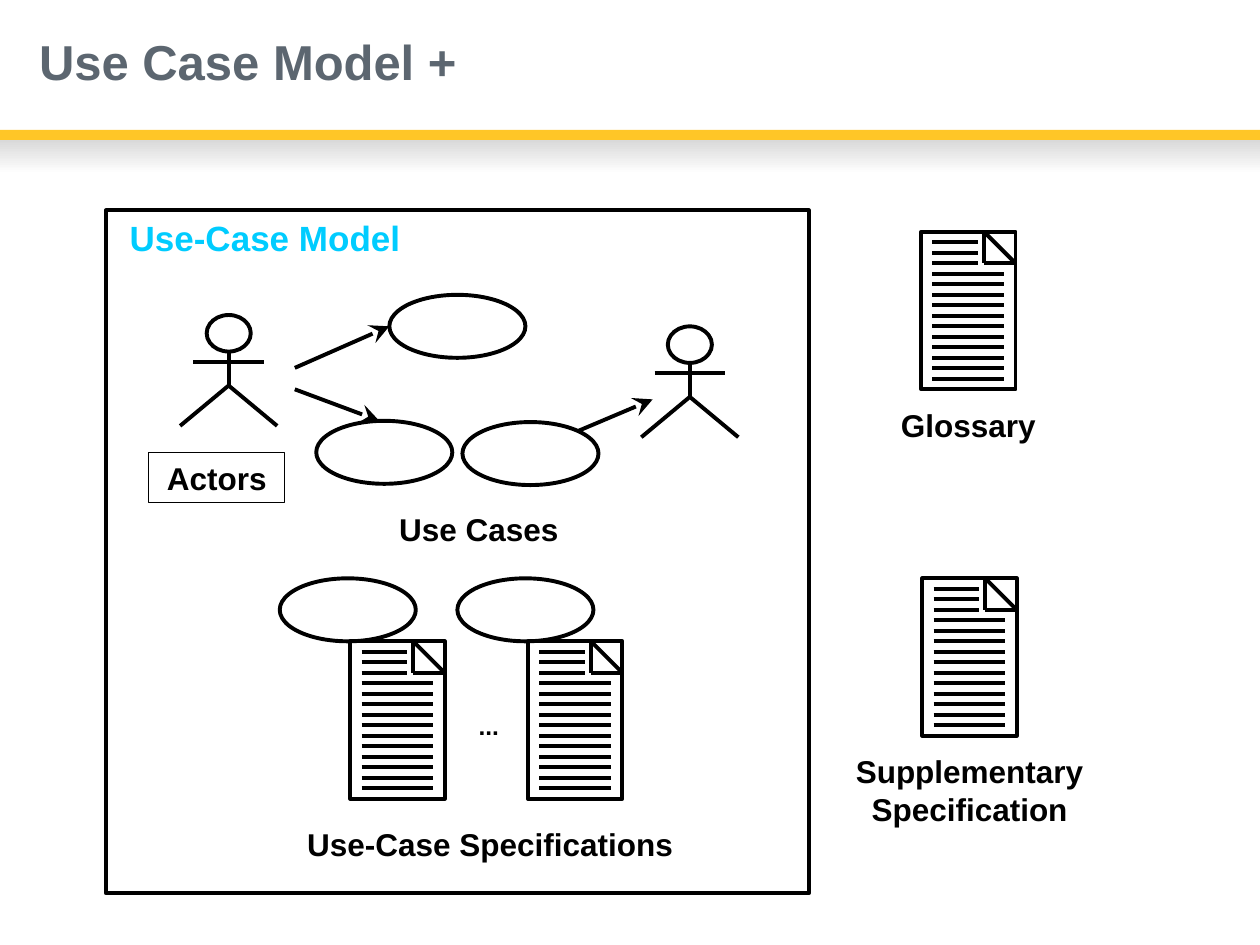
from dataclasses import dataclass

from lxml.etree import SubElement
from pptx import Presentation
from pptx.dml.color import RGBColor
from pptx.enum.shapes import MSO_CONNECTOR as Connector, MSO_SHAPE as Shape
from pptx.enum.text import MSO_ANCHOR as Anchor, PP_ALIGN as Align
from pptx.oxml.ns import qn
from pptx.util import Inches, Pt


@dataclass(frozen=True)
class Theme:
    """Colours, type sizes and line widths of the slide."""
    font: str = "Arial"
    ink: RGBColor = RGBColor(0, 0, 0)
    slate: RGBColor = RGBColor(0x5C, 0x66, 0x70)
    gold: RGBColor = RGBColor(0xFF, 0xC6, 0x27)
    cyan: RGBColor = RGBColor(0, 0xCC, 0xFF)
    shade: RGBColor = RGBColor(0xD9, 0xD9, 0xD9)
    paper: RGBColor = RGBColor(0xFF, 0xFF, 0xFF)
    title: int = 28
    heading: int = 20
    label: int = 18
    dots: int = 14
    stroke: float = 2.25
    hairline: float = 0.75


THEME = Theme()


def box_lengths(box):
    """Turn a box in inches into lengths."""
    return [Inches(value) for value in box]


def style_text(frame, lines, size, color, align=Align.CENTER):
    """Write one bold paragraph for each line."""
    frame.word_wrap = True
    frame.text = "\n".join(lines)
    for paragraph in frame.paragraphs:
        paragraph.alignment = align
        paragraph.font.name = THEME.font
        paragraph.font.size = Pt(size)
        paragraph.font.bold = True
        paragraph.font.color.rgb = color


def add_label(shapes, box, *lines, size=THEME.label, color=THEME.ink, align=Align.CENTER):
    """Add a text label in the box."""
    label = shapes.add_textbox(*box_lengths(box))
    style_text(label.text_frame, lines, size, color, align)


def outline(shape, width=THEME.stroke):
    """Give a shape a plain black outline."""
    shape.shadow.inherit = False
    shape.fill.background()
    shape.line.color.rgb = THEME.ink
    shape.line.width = Pt(width)
    return shape


def add_outline(shapes, kind, box, width=THEME.stroke):
    """Add an unfilled preset shape in the box."""
    return outline(shapes.add_shape(kind, *box_lengths(box)), width)


def add_line(shapes, start, end, arrow=False):
    """Draw a line, with a stealth head at its end if asked."""
    line = shapes.add_connector(Connector.STRAIGHT, *box_lengths(start + end))
    line.line.color.rgb = THEME.ink
    line.line.width = Pt(THEME.stroke)
    properties = line._element.spPr
    if arrow:
        SubElement(line.line._get_or_add_ln(), qn("a:tailEnd"), type="stealth", w="lg", len="lg")
    SubElement(properties, qn("a:effectLst"))


def add_document(shapes, box):
    """Draw a ruled page with a folded corner."""
    left, top, width, height = box
    right, fold, margin = left + width, width / 3, 0.09
    add_outline(shapes, Shape.RECTANGLE, box)
    inner, crease = right - fold, top + fold
    add_line(shapes, (inner, top), (right, crease))
    add_line(shapes, (inner, top), (inner, crease))
    add_line(shapes, (right, crease), (inner, crease))
    rows = 15
    for row in range(1, rows):
        y = top + row * height / rows
        end = inner - 0.05 if row <= 3 else right - margin
        add_line(shapes, (left + margin, y), (end, y))


def add_specification(shapes, box):
    """Draw a use case with its specification page below."""
    left, top, width, height = box
    add_outline(shapes, Shape.OVAL, (left, top, 1.08, 0.5))
    add_document(shapes, (left + width - 0.75, top + 0.5, 0.75, height - 0.5))


def add_actor(shapes, box):
    """Draw a stick figure."""
    left, top, width, height = box
    center, right, feet = left + width / 2, left + width, top + height
    neck, hip = top + 0.29, top + 0.56
    add_outline(shapes, Shape.OVAL, (center - 0.175, top, 0.35, 0.29))
    add_line(shapes, (center, neck), (center, hip))
    add_line(shapes, (center - 0.28, top + 0.37), (center + 0.28, top + 0.37))
    legs = shapes.build_freeform(Inches(left), Inches(feet))
    legs.add_line_segments([(Inches(center), Inches(hip)), (Inches(right), Inches(feet))], close=False)
    outline(legs.convert_to_shape())


def add_header(slide, box):
    """Place the title, the gold bar and the fading shade below it."""
    left, top, width, height = box
    shade = slide.shapes.add_shape(Shape.RECTANGLE, *box_lengths((left, top + height, width, 0.27)))
    shade.fill.gradient()
    shade.fill.gradient_angle = 270
    for stop, color in zip(shade.fill.gradient_stops, (THEME.shade, THEME.paper)):
        stop.color.rgb = color
    bar = slide.shapes.add_shape(Shape.RECTANGLE, *box_lengths((left, top + height - 0.08, width, 0.08)))
    bar.fill.solid()
    bar.fill.fore_color.rgb = THEME.gold
    for band in (shade, bar):
        band.shadow.inherit = False
        band.line.fill.background()
    title = slide.shapes.title
    title.left, title.top, title.width, title.height = box_lengths((left + 0.21, top, 9.52, 1.02))
    style_text(title.text_frame, ["Use Case Model +"], THEME.title, THEME.slate, Align.LEFT)
    title.text_frame.vertical_anchor = Anchor.MIDDLE
    title.text_frame.paragraphs[0].line_spacing = 0.9


def add_model(shapes, box):
    """Draw the use-case model frame with actors, use cases and specifications."""
    left, top, _, _ = box

    def at(x, y, *size):
        return (left + x, top + y, *size)

    add_outline(shapes, Shape.RECTANGLE, box)
    add_label(shapes, at(0.09, 0, 2.42, 0.44), "Use-Case Model",
              size=THEME.heading, color=THEME.cyan, align=Align.LEFT)
    for x, y in ((0.59, 0.83), (4.25, 0.92)):
        add_actor(shapes.add_group_shape().shapes, at(x, y, 0.77, 0.88))
    for x, y in ((2.25, 0.67), (1.67, 1.67), (2.83, 1.68)):
        add_outline(shapes, Shape.OVAL, at(x, y, 1.08, 0.5))
    for start, end in (((1.5, 1.25), (2.25, 0.92)),
                       ((1.5, 1.42), (2.17, 1.67)),
                       ((3.75, 1.75), (4.34, 1.5))):
        add_line(shapes, at(*start), at(*end), arrow=True)
    actors = add_outline(shapes, Shape.RECTANGLE, at(0.34, 1.92, 1.08, 0.4), THEME.hairline)
    style_text(actors.text_frame, ["Actors"], THEME.label, THEME.ink)
    add_label(shapes, at(2.17, 2.33, 1.58, 0.4), "Use Cases")
    for x in (1.38, 2.79):
        add_specification(shapes.add_group_shape().shapes, at(x, 2.92, 1.31, 1.75))
    add_label(shapes, at(2.79, 3.92, 0.5, 0.5), "...", size=THEME.dots)
    add_label(shapes, at(1.5, 4.83, 3.13, 0.4), "Use-Case Specifications", align=Align.LEFT)


def add_artifact(shapes, box, *lines):
    """Draw a page with its name centred below."""
    left, top, width, height = box
    add_document(shapes.add_group_shape().shapes, (left + (width - 0.75) / 2, top, 0.75, 1.25))
    add_label(shapes, (left, top + 1.33, width, height - 1.33), *lines)


def main():
    """Build and save the slide."""
    deck = Presentation()
    deck.slide_width, deck.slide_height = Inches(10), Inches(7.5)
    slide = deck.slides.add_slide(deck.slide_layouts[5])
    add_header(slide, (0, 0, 10, 1.11))
    add_model(slide.shapes, (0.84, 1.67, 5.58, 5.42))
    add_artifact(slide.shapes, (7.03, 1.84, 1.31, 1.73), "Glossary")
    add_artifact(slide.shapes, (6.67, 4.59, 2.05, 2.04), "Supplementary", "Specification")
    deck.save("out.pptx")


if __name__ == "__main__":
    main()
